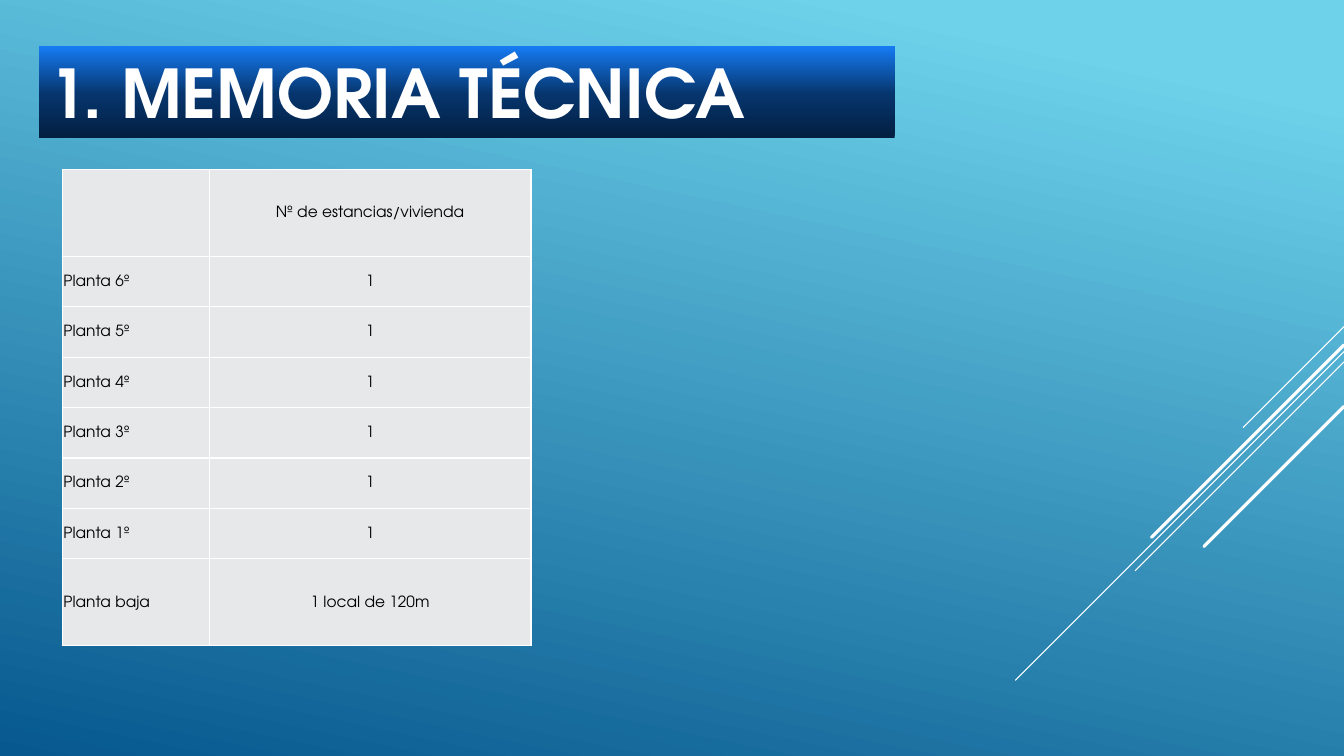
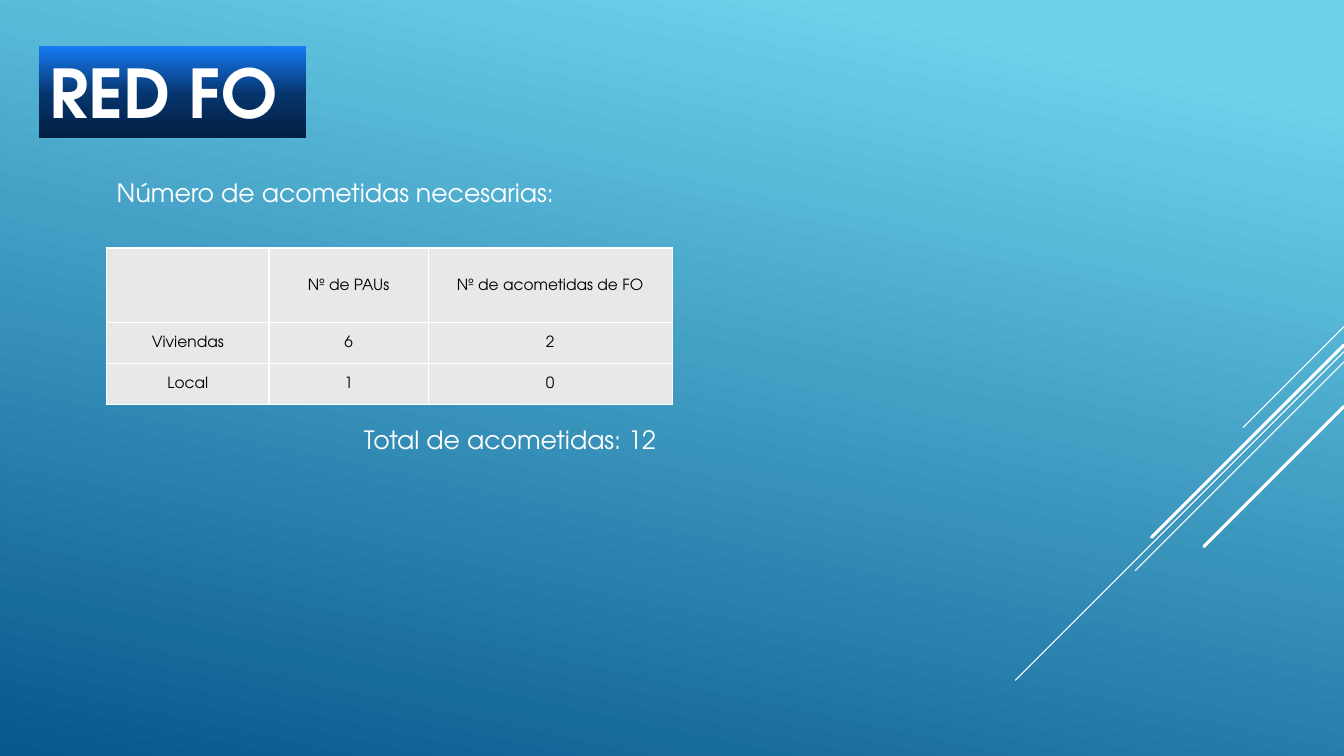
from dataclasses import dataclass

from lxml import etree
from pptx import Presentation
from pptx import util as u
from pptx.dml import color, fill as dml_fill
from pptx.enum import shapes, text
from pptx.oxml import ns
from pptx.slide import Slide

FONT = "TeX Gyre Adventor"
COLORS = {
    "white": "FFFFFF",
    "black": "000000",
    "cell": "E7E8EA",
    "sky": "6ED2EB",
    "deep": "06588E",
    "navy": "031F41",
    "blue": "06356D",
    "bright": "167BF3",
}
SLIDE_W, SLIDE_H = 33.87, 19.05
LEFT, CENTER = text.PP_ALIGN.LEFT, text.PP_ALIGN.CENTER


@dataclass(frozen=True)
class Ray:
    top: float
    reach: float
    weight: float


@dataclass(frozen=True)
class Grid:
    left: float
    top: float
    widths: list[float]
    heights: list[float]
    rows: list[list[str]]
    first_align: text.PP_ALIGN = CENTER


@dataclass(frozen=True)
class Label:
    left: float
    top: float
    caption: str


@dataclass(frozen=True)
class Page:
    title: str
    title_width: float
    grid: Grid
    labels: tuple[Label, ...] = ()


RAYS = (
    Ray(8.23, 2.54, 0.75),
    Ray(8.86, 8.28, 0.75),
    Ray(9.12, 5.26, 0.75),
    Ray(8.69, 4.85, 2.25),
    Ray(10.24, 3.53, 2.25),
)

FLOORS = [[f"Planta {n}º", "1"] for n in range(6, 0, -1)]

PAGES = (
    Page(
        "1. MEMORIA TÉCNICA",
        21.56,
        Grid(
            1.57, 4.27, [3.71, 8.1], [2.19] + [1.27] * 6 + [2.19],
            [["", "Nº de estancias/vivienda"], *FLOORS, ["Planta baja", "1 local de 120m"]],
            LEFT,
        ),
    ),
    Page(
        "RED FO",
        6.73,
        Grid(
            2.69, 6.25, [4.09, 4.01, 6.15], [1.88, 1.03, 1.03],
            [
                ["", "Nº de PAUs", "Nº de acometidas de FO"],
                ["Viviendas", "6", "2"],
                ["Local", "1", "0"],
            ],
        ),
        (
            Label(2.69, 4.34, "Número de acometidas necesarias:"),
            Label(8.92, 10.57, "Total de acometidas: 12"),
        ),
    ),
)


def rgb(name: str) -> color.RGBColor:
    return color.RGBColor.from_string(COLORS[name])


def set_gradient(
    fill: dml_fill.FillFormat, owner: etree.ElementBase,
    stops: list[tuple[int, str]], angle: float,
) -> None:
    fill.gradient()
    fill.gradient_angle = angle
    stop_list = next(owner.iter(ns.qn("a:gsLst")))
    for old in list(stop_list):
        stop_list.remove(old)
    for percent, name in stops:
        gs = etree.SubElement(stop_list, ns.qn("a:gs"), pos=str(percent * 1000))
        etree.SubElement(gs, ns.qn("a:srgbClr"), val=COLORS[name])


def write(
    tf: text, caption: str, size: float, name: str,
    align: text.PP_ALIGN = LEFT, bold: bool = False,
) -> None:
    p = tf.paragraphs[0]
    p.text = caption
    p.alignment = align
    p.font.name = FONT
    p.font.size = u.Pt(size)
    p.font.bold = bold
    p.font.color.rgb = rgb(name)


def add_ray(s: Slide, ray: Ray) -> None:
    line = s.shapes.add_connector(
        shapes.MSO_CONNECTOR.STRAIGHT,
        u.Cm(SLIDE_W), u.Cm(ray.top),
        u.Cm(SLIDE_W - ray.reach), u.Cm(ray.top + ray.reach),
    )
    line.line.color.rgb = rgb("white")
    line.line.width = u.Pt(ray.weight)
    sp_pr = line.element.spPr
    sp_pr.find(ns.qn("a:ln")).set("cap", "rnd")
    etree.SubElement(sp_pr, ns.qn("a:effectLst"))


def add_title(s: Slide, caption: str, width: float) -> None:
    sp = s.shapes.add_shape(
        shapes.MSO_SHAPE.RECTANGLE, u.Cm(0.99), u.Cm(1.17), u.Cm(width), u.Cm(2.31)
    )
    sp.shadow.inherit = False
    set_gradient(sp.fill, sp.element, [(0, "navy"), (48, "blue"), (100, "bright")], 90)
    sp.line.fill.background()
    tf = sp.text_frame
    tf.word_wrap = True
    tf.vertical_anchor = text.MSO_ANCHOR.TOP
    write(tf, caption, 48, "white", bold=True)


def add_borders(tc_pr: etree.ElementBase) -> None:
    for side in ("lnL", "lnR", "lnT", "lnB"):
        ln = etree.SubElement(tc_pr, ns.qn(f"a:{side}"), w=str(u.Pt(1)))
        solid = etree.SubElement(ln, ns.qn("a:solidFill"))
        etree.SubElement(solid, ns.qn("a:srgbClr"), val=COLORS["white"])


def add_grid(s: Slide, grid: Grid) -> None:
    table = s.shapes.add_table(
        len(grid.heights), len(grid.widths),
        u.Cm(grid.left), u.Cm(grid.top),
        u.Cm(sum(grid.widths)), u.Cm(sum(grid.heights)),
    ).table
    table.first_row = table.horz_banding = False
    for column, width in zip(table.columns, grid.widths):
        column.width = u.Cm(width)
    for row, height, captions in zip(table.rows, grid.heights, grid.rows):
        row.height = u.Cm(height)
        for i, (cell, caption) in enumerate(zip(row.cells, captions)):
            cell.margin_left = cell.margin_right = cell.margin_top = u.Cm(0.03)
            cell.margin_bottom = 0
            cell.vertical_anchor = text.MSO_ANCHOR.MIDDLE
            add_borders(cell._tc.get_or_add_tcPr())
            cell.fill.solid()
            cell.fill.fore_color.rgb = rgb("cell")
            align = CENTER if i else grid.first_align
            write(cell.text_frame, caption, 11, "black", align)


def add_label(s: Slide, label: Label) -> None:
    sp = s.shapes.add_textbox(u.Cm(label.left), u.Cm(label.top), u.Cm(12.47), u.Cm(1.02))
    sp.text_frame.word_wrap = True
    write(sp.text_frame, label.caption, 18, "white")


def add_page(prs: Presentation, page: Page) -> None:
    s = prs.slides.add_slide(prs.slide_layouts[6])
    for ray in RAYS:
        add_ray(s, ray)
    add_title(s, page.title, page.title_width)
    add_grid(s, page.grid)
    for label in page.labels:
        add_label(s, label)


def main() -> None:
    prs = Presentation()
    prs.slide_width, prs.slide_height = u.Cm(SLIDE_W), u.Cm(SLIDE_H)
    master = prs.slide_master
    set_gradient(master.background.fill, master.element, [(10, "sky"), (100, "deep")], 258)
    for page in PAGES:
        add_page(prs, page)
    prs.save("out.pptx")


if __name__ == "__main__":
    main()
